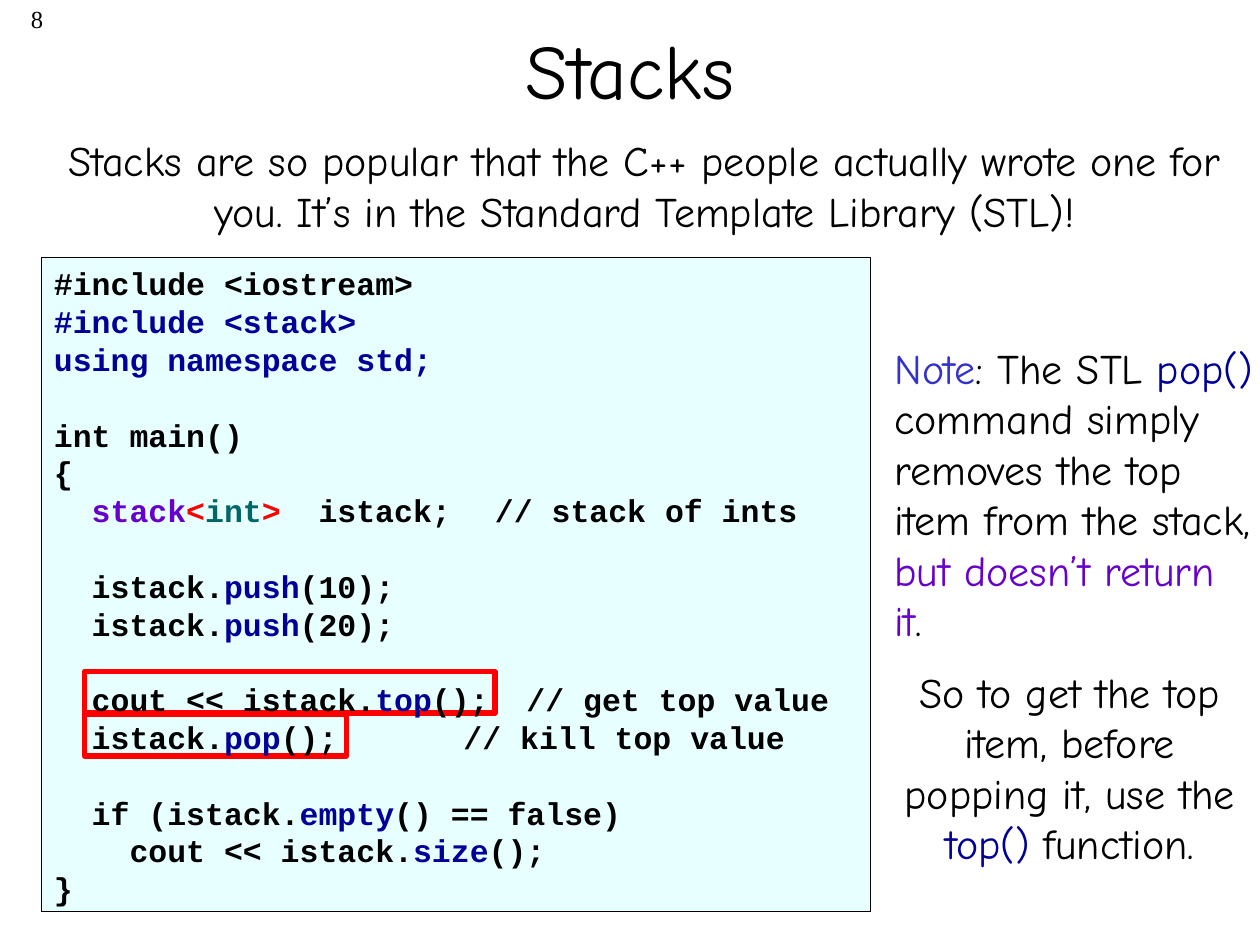
from pptx import Presentation
from pptx.dml.color import RGBColor
from pptx.enum import shapes, text
from pptx.util import Inches, Pt

THEME = {
    "black": "000000", "navy": "000099", "blue": "3333CC", "purple": "6600CC",
    "teal": "006666", "red": "FF0000", "panel": "E7FFFF",
    "hand": "Comic Neue", "mono": "Courier New", "serif": "Times New Roman",
    "title": 44, "body": 24, "code": 18, "number": 14,
}


def rgb(name):
    return RGBColor.from_string(THEME[name])


def write(frame, paragraphs, face, size, align=text.PP_ALIGN.LEFT,
          bold=False, leading=None):
    """Fill a frame; each paragraph is a list of strings or (string, colour)."""
    frame.word_wrap = True
    for index, runs in enumerate(paragraphs):
        line = frame.add_paragraph() if index else frame.paragraphs[0]
        line.alignment = align
        line.line_spacing = leading
        line.font.size = Pt(THEME[size])
        for part in runs:
            words, colour = (part, "black") if isinstance(part, str) else part
            run = line.add_run()
            run.text = words
            look = {"name": THEME[face], "size": Pt(THEME[size]), "bold": bold}
            for key, value in look.items():
                setattr(run.font, key, value)
            run.font.color.rgb = rgb(colour)


CENTER, RIGHT = text.PP_ALIGN.CENTER, text.PP_ALIGN.RIGHT

deck = Presentation()
deck.slide_width, deck.slide_height = Inches(10), Inches(7.5)
slide = deck.slides.add_slide(deck.slide_layouts[5])

# Title
title = slide.shapes.title
title.left, title.top = Inches(0.75), Inches(-0.08)
title.width, title.height = Inches(8.5), Inches(1.25)
title.text_frame.vertical_anchor = text.MSO_ANCHOR.MIDDLE
write(title.text_frame, [["Stacks"]], "hand", "title", CENTER)

# Code panel and the two highlighted statements: place, fill, line, line width
frames = [
    ((0.33, 2.04, 6.58, 5.19), "panel", "black", 0.25),
    ((0.67, 5.67, 2.08, 0.33), None, "red", 3),
    ((0.67, 5.33, 3.26, 0.33), None, "red", 3),
]
for place, fill, line, width in frames:
    frame = slide.shapes.add_shape(shapes.MSO_SHAPE.RECTANGLE, *map(Inches, place))
    frame.shadow.inherit = False
    if fill:
        frame.fill.solid()
        frame.fill.fore_color.rgb = rgb(fill)
    else:
        frame.fill.background()
    frame.line.color.rgb = rgb(line)
    frame.line.width = Pt(width)

code = [
    ["#include <iostream>"],
    [("#include <stack>", "navy")],
    [("using namespace std;", "navy")],
    [],
    ["int main()"],
    ["{"],
    ["  ", ("stack", "purple"), ("<", "red"), ("int", "teal"), (">  ", "red"),
     "istack;\t// stack of ints"],
    [],
    ["  istack.", ("push", "navy"), "(10);"],
    ["  istack.", ("push", "navy"), "(20);"],
    [],
    ["  cout << istack.", ("top", "navy"), "();  // get top value"],
    ["  istack.", ("pop", "navy"), "();\t     // kill top value"],
    [],
    ["  if (istack.", ("empty", "navy"), "() == false)"],
    ["    cout << istack.", ("size", "navy"), "();"],
    ["}"],
]
intro = [["Stacks are so popular that the C++ people actually wrote one for you. "
          "It’s in the Standard Template Library (STL)!"]]
note = [[("Note", "blue"), ": The STL ", ("pop()", "navy"),
         " command simply removes the top item from the stack, ",
         ("but doesn’t return it", "purple"), "."]]
advice = [["So to get the top item, before popping it, use the ",
           ("top()", "navy"), " function."]]

# Text boxes: place, paragraphs, format
boxes = [
    ((0, -0.02, 0.44, 0.5), [["8"]],
     {"face": "serif", "size": "number", "align": RIGHT}),
    ((0.33, 1.02, 9.57, 0.9), intro,
     {"face": "hand", "size": "body", "align": CENTER}),
    ((0.33, 2.05, 6.83, 5.2), code,
     {"face": "mono", "size": "code", "bold": True, "leading": Pt(21.6)}),
    ((7, 2.67, 3.05, 2.5), note, {"face": "hand", "size": "body"}),
    ((7.06, 5.24, 2.86, 2.1), advice,
     {"face": "hand", "size": "body", "align": CENTER}),
]
for place, paragraphs, style in boxes:
    box = slide.shapes.add_textbox(*map(Inches, place))
    write(box.text_frame, paragraphs, **style)

deck.save("out.pptx")
